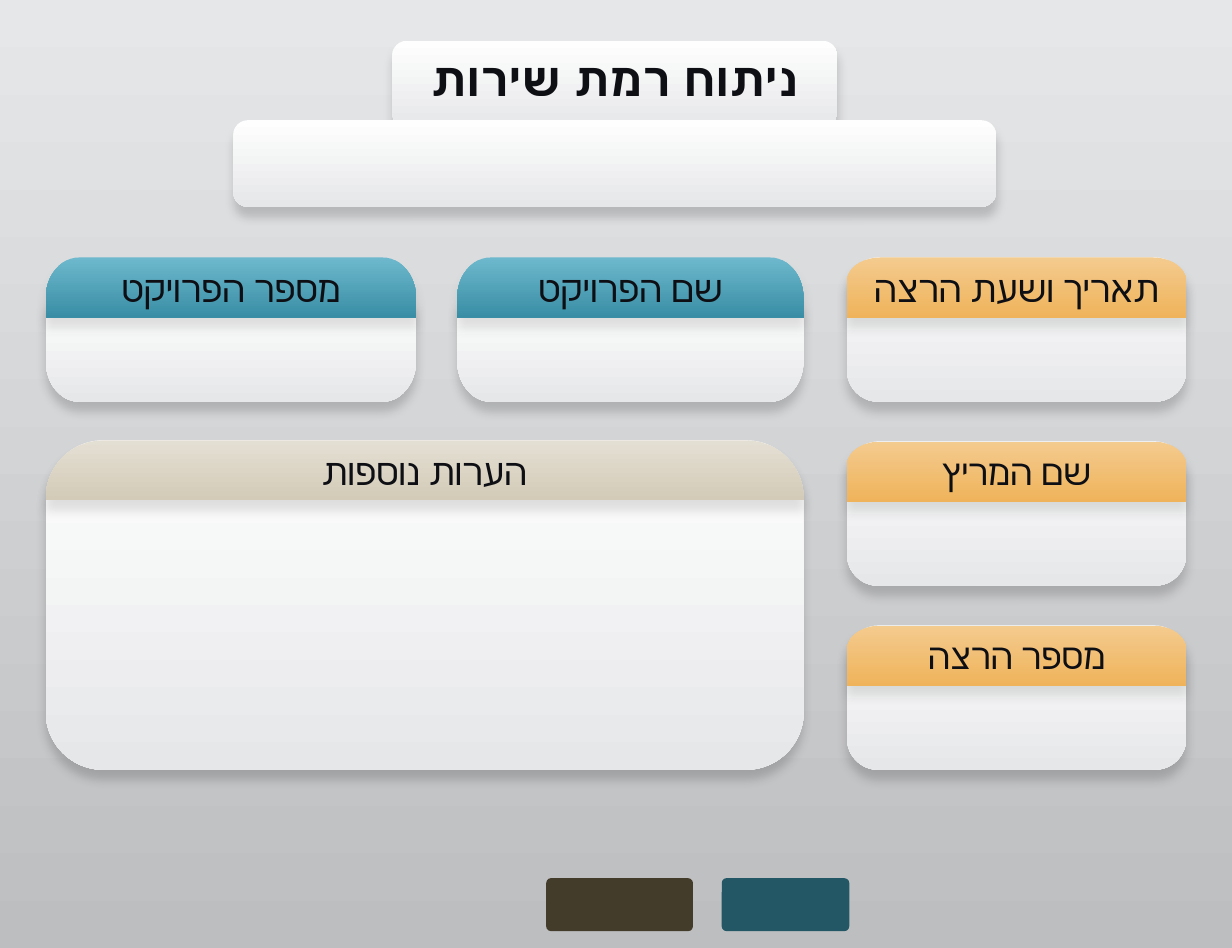
from math import cos, pi, sin

from lxml.etree import SubElement
from pptx import Presentation
from pptx.dml.color import RGBColor
from pptx.enum.shapes import MSO_SHAPE as Shape
from pptx.enum.text import MSO_ANCHOR as Anchor, PP_ALIGN as Align
from pptx.oxml.ns import qn
from pptx.util import Inches, Pt

INK = RGBColor(0x0E, 0x0F, 0x14)
BACKDROP = RGBColor(0xE6, 0xE7, 0xE9), RGBColor(0xBD, 0xBE, 0xC0)
PAPER = RGBColor(0xFE, 0xFE, 0xFE), RGBColor(0xE6, 0xE7, 0xE9)
ORANGE = RGBColor(0xF4, 0xCB, 0x8E), RGBColor(0xEF, 0xB3, 0x5B)
TEAL = RGBColor(0x6D, 0xB8, 0xCC), RGBColor(0x39, 0x8E, 0xA5)
SAND = RGBColor(0xE4, 0xDF, 0xD3), RGBColor(0xD3, 0xCB, 0xB8)
BROWN = RGBColor(0x44, 0x3C, 0x2A)
PETROL = RGBColor(0x23, 0x57, 0x65)
BLACK = RGBColor(0, 0, 0)
GREY = RGBColor(0x59, 0x59, 0x59)

HEADER_HEIGHT = 0.25


def fill_down(fill, colours):
    """Vertical gradient from the first colour to the second."""
    fill.gradient()
    fill.gradient_angle = 270
    for stop, colour in zip(fill.gradient_stops, colours):
        stop.color.rgb = colour


def style(shape, colours, shadow_colour=BLACK):
    """Gradient fill, no outline, soft shadow below."""
    fill_down(shape.fill, colours)
    shape.line.fill.background()
    shape.shadow.inherit = False
    effects = shape._element.spPr.find(qn("a:effectLst"))
    shadow = SubElement(effects, qn("a:outerShdw"), blurRad=str(Pt(3)), dist=str(Pt(3)),
                        dir="5400000", algn="t", rotWithShape="0")
    colour = SubElement(shadow, qn("a:srgbClr"), val=str(shadow_colour))
    SubElement(colour, qn("a:alpha"), val="16000")


def write(shape, text, size=11, bold=False, margins=(0.05, 0.05, 0.05, 0.05)):
    """Centred right-to-left text."""
    frame = shape.text_frame
    frame.word_wrap = True
    frame.vertical_anchor = Anchor.MIDDLE
    (frame.margin_left, frame.margin_top,
     frame.margin_right, frame.margin_bottom) = map(Inches, margins)
    para = frame.paragraphs[0]
    para.alignment = Align.CENTER
    para._p.get_or_add_pPr().set("rtl", "1")
    span = para.add_run()
    span.text = text
    font = span.font
    font.name, font.size, font.bold = "Arial", Pt(size), bold
    font.color.rgb = INK


def rounded_rect(page, box, radius):
    shape = page.shapes.add_shape(Shape.ROUNDED_RECTANGLE, *map(Inches, box))
    shape.adjustments[0] = radius / min(box[2:])
    return shape


def half_rounded(page, box, radii, round_top=True):
    """Box whose top (or bottom) two corners are elliptical arcs."""
    left, top, width, height = box
    rx, ry = radii
    angles = [step * pi / 24 for step in range(13)]
    arc = [(rx * (1 - cos(a)), ry * (1 - sin(a))) for a in angles]
    outline = [(0, height), *arc, *((width - x, y) for x, y in reversed(arc)), (width, height)]
    points = [(Inches(left + x), Inches(top + (y if round_top else height - y)))
              for x, y in outline]
    builder = page.shapes.build_freeform(*points[0])
    builder.add_line_segments(points[1:], close=True)
    return builder.convert_to_shape()


def add_heading(page, box):
    """Title tab standing on a wide empty bar."""
    left, top, width, height = box
    tab_width, tab_height = 1.85, 0.36
    tab = left + (width - tab_width) / 2, top, tab_width, tab_height
    style(rounded_rect(page, tab, 0.06), PAPER)
    bar_top = 0.33
    style(rounded_rect(page, (left, top + bar_top, width, height - bar_top), 0.06), PAPER)
    title = page.shapes.title
    title.left, title.top, title.width, title.height = map(Inches, tab)
    write(title, "ניתוח רמת שירות", size=14, bold=True, margins=(0.1, 0, 0.1, 0.05))
    page.shapes._spTree.append(title._element)  # in front of the tab


def add_card(page, box, text, colours, radii, body_radius=None, size=11):
    """Paper card with a coloured header; without body_radius only its foot is rounded."""
    left, top, width, height = box
    if body_radius:
        body = rounded_rect(page, box, body_radius)
    else:
        body_top = 0.18
        body_box = left, top + body_top, width, height - body_top
        body = half_rounded(page, body_box, radii, round_top=False)
    style(body, PAPER)
    header = half_rounded(page, (left, top, width, HEADER_HEIGHT), radii)
    style(header, colours, GREY)
    write(header, text, size)


def add_run_cards(page, box):
    """Column of three run details."""
    left, top, width, height = box
    card_height = 0.6
    pitch = (height - card_height) / 2
    labels = ("תאריך ושעת הרצה", 11), ("שם המריץ", 10.7), ("מספר הרצה", 10.7)
    for row, (text, size) in enumerate(labels):
        add_card(page, (left, top + row * pitch, width, card_height), text, ORANGE,
                 (0.14, 0.1), body_radius=0.13, size=size)


def add_project_cards(page, box):
    """Two project cards above the notes card."""
    left, top, width, height = box
    for x, card_width, text in ((1.71, 1.44, "שם הפרויקט"), (0, 1.54, "מספר הפרויקט")):
        add_card(page, (left + x, top, card_width, 0.6), text, TEAL, (0.14, 0.17))
    notes_top = 0.76
    add_card(page, (left, top + notes_top, width, height - notes_top), "הערות נוספות", SAND,
             (0.24, 0.24), body_radius=0.24)


def add_emblems(page, box):
    """Two plain blocks in the footer."""
    left, top, width, height = box
    for x, block_width, colour in ((0, 0.61, BROWN), (0.73, width - 0.73, PETROL)):
        block = rounded_rect(page, (left + x, top, block_width, height), 0.02)
        block.fill.solid()
        block.fill.fore_color.rgb = colour
        block.line.fill.background()
        block.shadow.inherit = False


def main():
    deck = Presentation()
    deck.slide_width, deck.slide_height = Inches(5.12), Inches(3.94)
    page = deck.slides.add_slide(deck.slide_layouts[5])
    fill_down(page.background.fill, BACKDROP)
    add_heading(page, (0.97, 0.17, 3.17, 0.69))
    add_run_cards(page, (3.52, 1.07, 1.41, 2.13))
    add_project_cards(page, (0.19, 1.07, 3.15, 2.13))
    add_emblems(page, (2.27, 3.65, 1.26, 0.22))
    deck.save("out.pptx")


if __name__ == "__main__":
    main()
